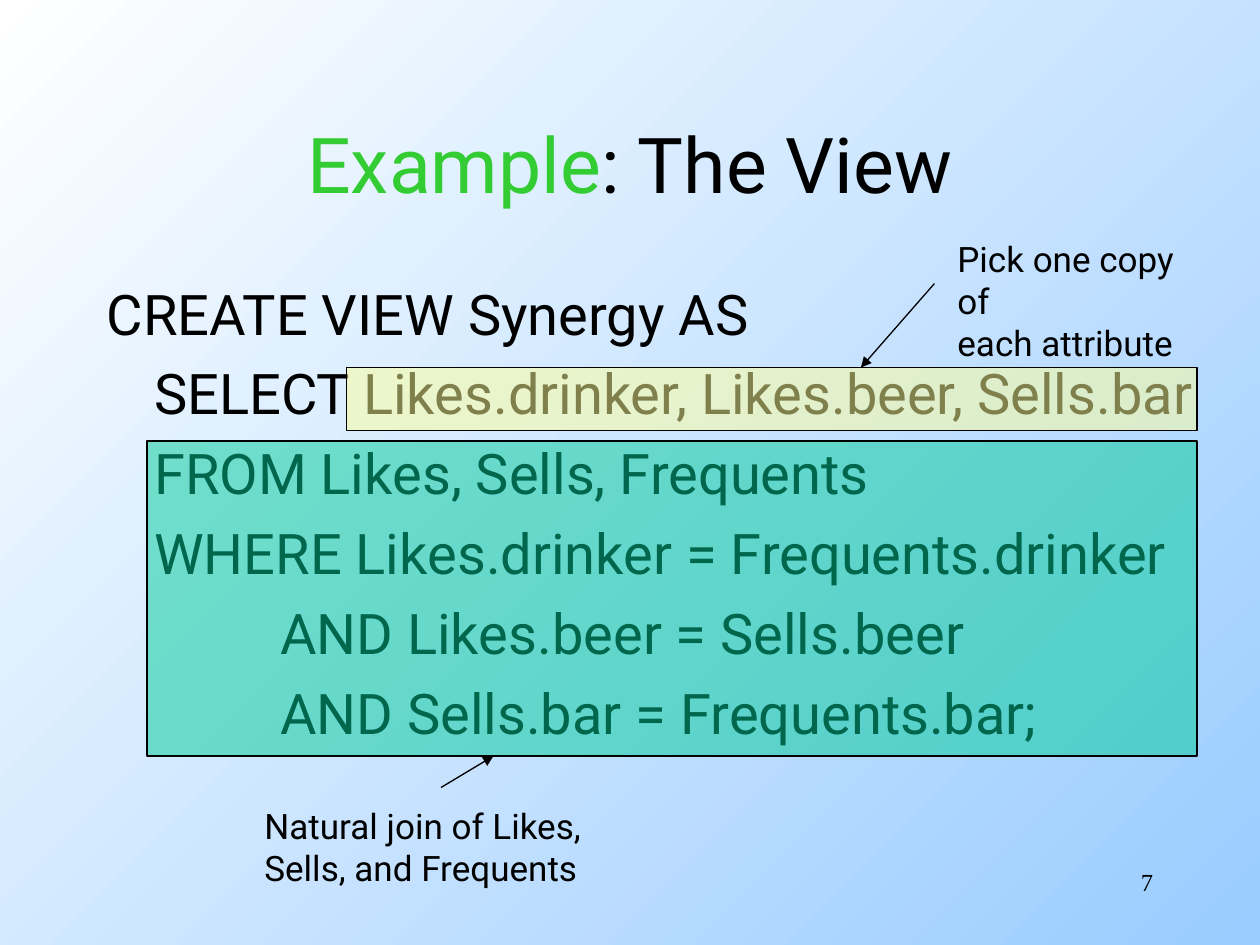
from dataclasses import dataclass

from lxml.etree import SubElement
from pptx import Presentation
from pptx.dml.color import RGBColor as Rgb
from pptx.enum.shapes import MSO_CONNECTOR as Connector, MSO_SHAPE as Preset
from pptx.enum.text import MSO_ANCHOR as Anchor, PP_ALIGN as Align
from pptx.oxml.ns import qn
from pptx.util import Inches, Pt


@dataclass(frozen=True)
class Theme:
    """Colours, fonts and type sizes of the slide."""
    ink: Rgb = Rgb.from_string("000000")
    accent: Rgb = Rgb.from_string("33CC33")
    sky: tuple = (Rgb.from_string("FFFFFF"), Rgb.from_string("99CCFF"))
    join: Rgb = Rgb.from_string("00CC99")
    columns: Rgb = Rgb.from_string("FFFF99")
    veil: int = 50
    face: str = "Roboto"
    number_face: str = "Times New Roman"
    title_size: int = 44
    code_size: int = 32
    note_size: int = 20
    number_size: int = 14
    code_gap: float = 7.2
    line_width: float = 0.75


THEME = Theme()
CELL = Inches(1) / 12  # the slide is 120 columns by 90 rows
CODE_INDENTS = (0, 4.5, 16.5)  # columns for each level of the query
QUERY = (
    (0, "CREATE VIEW Synergy AS"),
    (1, "SELECT Likes.drinker, Likes.beer, Sells.bar"),
    (1, "FROM Likes, Sells, Frequents"),
    (1, "WHERE Likes.drinker = Frequents.drinker"),
    (2, "AND Likes.beer = Sells.beer"),
    (2, "AND Sells.bar = Frequents.bar;"),
)


def grid(*cells):
    """Turn columns and rows into lengths."""
    return [round(cell * CELL) for cell in cells]


def style(para, size, face=THEME.face):
    """Set the font of a whole paragraph."""
    para.font.size, para.font.name = Pt(size), face
    para.font.color.rgb = THEME.ink


def add_text(page, box, lines, size, face=THEME.face):
    """Place a wrapped text box, one paragraph a line; return its paragraphs."""
    frame = page.shapes.add_textbox(*grid(*box)).text_frame
    frame.word_wrap = True
    frame.text = "\n".join(lines)
    for para in frame.paragraphs:
        style(para, size, face)
    return frame.paragraphs


def paint_background(page):
    """Fill the page with the diagonal gradient."""
    fill = page.background.fill
    fill.gradient()
    fill.gradient_angle = 315
    for stop, color, position in zip(fill.gradient_stops, THEME.sky, (0, 1)):
        stop.color.rgb, stop.position = color, position


def add_title(page, box, lead, rest):
    """Move the title placeholder and colour its leading word."""
    title = page.shapes.title
    title.left, title.top, title.width, title.height = grid(*box)
    title.text_frame.vertical_anchor = Anchor.MIDDLE
    para = title.text_frame.paragraphs[0]
    para.alignment = Align.CENTER
    style(para, THEME.title_size)
    for text, color in ((lead, THEME.accent), (rest, THEME.ink)):
        span = para.add_run()
        span.text = text
        span.font.color.rgb = color


def add_query(page, box):
    """Place the SQL statement, indented by level."""
    paras = add_text(page, box, [text for _, text in QUERY], THEME.code_size)
    for para, (level, _) in zip(paras, QUERY):
        para.space_before = Pt(THEME.code_gap)
        props = para._p.get_or_add_pPr()
        props.set("marL", str(grid(CODE_INDENTS[level])[0]))
        props.set("indent", "0")


def add_callout(page, box, color, note, lines, start, tip):
    """Veil a part of the query; place note and arrow from the veil's corner."""
    left, top = box[:2]
    veil = page.shapes.add_shape(Preset.RECTANGLE, *grid(*box))
    veil.shadow.inherit = False
    veil.fill.solid()
    veil.fill.fore_color.rgb = color
    tint = veil.fill._xPr.find(qn("a:solidFill"))[0]
    SubElement(tint, qn("a:alpha"), val=str(THEME.veil * 1000))

    add_text(page, (left + note[0], top + note[1], *note[2:]), lines, THEME.note_size)

    arrow = page.shapes.add_connector(
        Connector.STRAIGHT,
        *grid(left + start[0], top + start[1], left + tip[0], top + tip[1]))
    for outline in (veil.line, arrow.line):
        outline.color.rgb = THEME.ink
        outline.width = Pt(THEME.line_width)
    SubElement(arrow.line._get_or_add_ln(), qn("a:tailEnd"), type="triangle")
    SubElement(arrow._element.spPr, qn("a:effectLst"))


def add_page_number(page, box, number):
    """Place the page number, set to the right."""
    para = add_text(page, box, [number], THEME.number_size, THEME.number_face)[0]
    para.alignment = Align.RIGHT


def build():
    """Build the deck and save it."""
    deck = Presentation()
    deck.slide_width, deck.slide_height = grid(120, 90)
    page = deck.slides.add_slide(deck.slide_layouts[5])
    paint_background(page)
    add_page_number(page, (86, 82, 25, 6), "7")
    add_title(page, (9, 8, 102, 15), "Example", ": The View")
    add_query(page, (9, 26, 111, 54))
    add_callout(page, (14, 42, 100, 30), THEME.join, (10, 34, 34, 9),
                ("Natural join of Likes,", "Sells, and Frequents"),
                start=(28, 33), tip=(33, 30))
    add_callout(page, (33, 35, 81, 6), THEME.columns, (57, -13, 26, 9),
                ("Pick one copy of", "each attribute"),
                start=(56, -8), tip=(49, 0))
    deck.save("out.pptx")


build()
